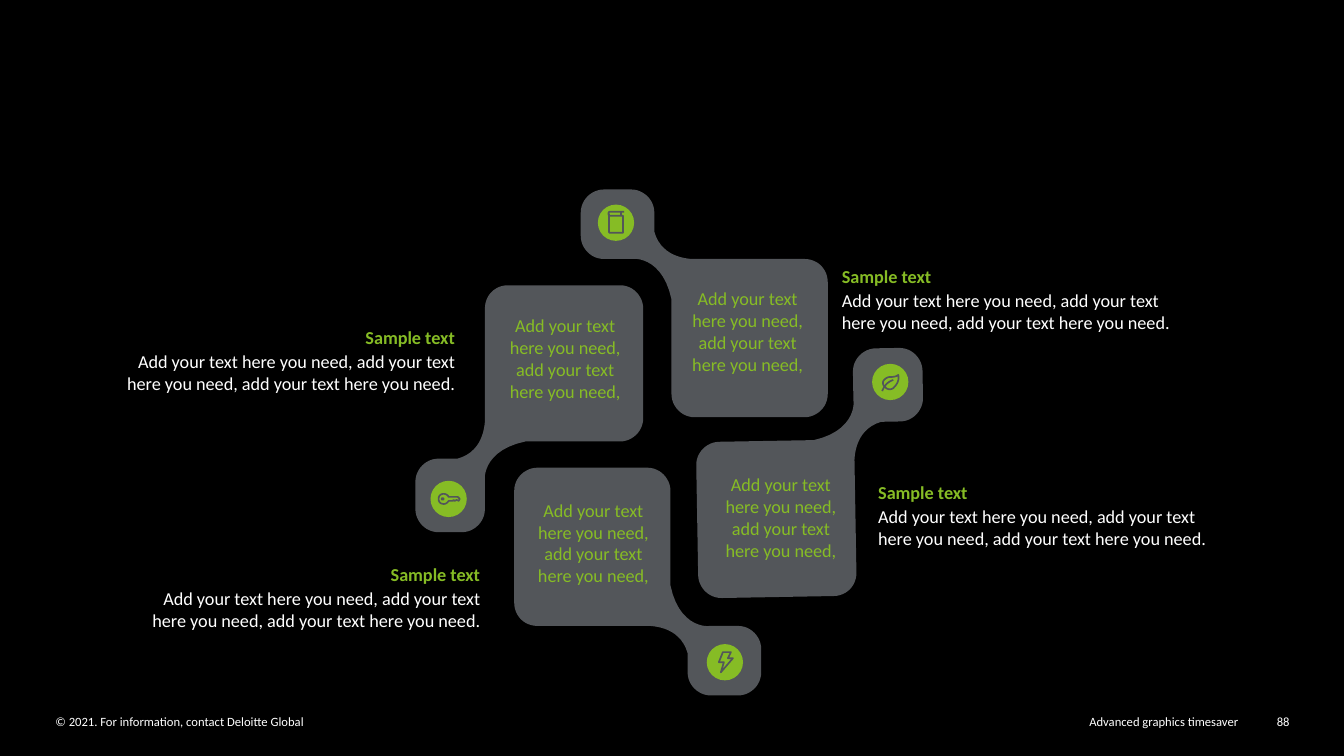
import math
from lxml import etree
from pptx import Presentation
from pptx import util as u
from pptx.dml.color import RGBColor
from pptx.enum import shapes, text

PX = 9144  # EMU in one px, 100 px to the inch
LEFT, CENTER, RIGHT = text.PP_ALIGN.LEFT, text.PP_ALIGN.CENTER, text.PP_ALIGN.RIGHT

THEME = {
    "font": "Calibri",
    "background": RGBColor(0x00, 0x00, 0x00),
    "panel": RGBColor(0x53, 0x56, 0x5A),
    "accent": RGBColor(0x86, 0xBC, 0x25),
    "body": RGBColor(0xFF, 0xFF, 0xFF),
    "text_size": 13,
    "footer_size": 9,
    "icon_line": 1.2,
}

PANEL_TEXT = "Add your text here you need, add your text here you need,"
HEADING = "Sample text"
BODY = "Add your text here you need, add your text here you need, add your text here you need."

# Pairs are straight steps, six numbers are a Bézier step; origin is the joint with the small tab.
PANEL_OUTLINE = [
    (0, 0), (28, 0), (35, -1, 59, 2, 67, 40), (67, 134),
    (67, 146, 77, 157, 90, 157), (199, 157), (211, 157, 222, 147, 222, 134),
    (222, 23), (222, 10, 212, 0, 199, 0), (87, 0), (74, -1, 56, -6, 50, -27),
    (50, -46), (50, -59, 39, -69, 27, -69), (0, -69),
    (-12, -69, -23, -59, -23, -46), (-23, -23), (-23, -11, -13, 0, 0, 0),
]

# Icon strokes are measured from the centre of their disc.
KEY = [
    [(0, -2), (9, -2), (11, 0), (10, 2), (8, 1), (6, 2), (5, 1), (4, 2), (0, 2),
     (-2, 5, -4, 5, -5, 5), (-8, 5, -10, 3, -10, 0), (-10, -3, -8, -5, -5, -5),
     (-3, -5, -1, -4, 0, -2)],
    [(-7, 0), (-7, -1, -5, -1, -5, 0), (-5, 1, -7, 1, -7, 0)],
]
BOLT = [[(-2, -10), (6, -10), (3, -4), (8, -4), (-4, 10), (-1, 0), (-6, 0), (-2, -10)]]
BOOK = [
    [(-7, -9), (-7, 8), (-7, 9, -7, 10, -6, 10), (7, 10), (7, -7), (-6, -7),
     (-8, -7, -8, -11, -6, -11), (8, -11)],
    [(5, -11), (5, -7)],
]
LEAF = [
    [(8, -7), (5, -5, 3, -5, 0, -5), (-2, -5, -4, -4, -5, -3), (-8, -1, -8, 3, -5, 5),
     (-3, 8, 2, 8, 4, 5), (7, 2, 9, -2, 8, -7)],
    [(-8, 9), (-7, 6, -4, 0, 3, -2)],
]

# joint, turn in degrees, top left of text, disc centre, icon
PANELS = [
    ((481, 505), -90, (502, 312), (445, 495), KEY),
    ((732, 621), 180, (530, 495), (719, 657), BOLT),
    ((599, 257), 0, (683, 285), (611, 221), BOOK),
    ((846, 369), 89, (716, 470), (883, 379), LEAF),
]
# edge beside the panel, top, body width, alignment
CALLOUTS = [
    (835, 263, 341, LEFT),
    (871, 477, 335, LEFT),
    (451, 324, 328, RIGHT),
    (476, 559, 329, RIGHT),
]
# words, left, width, alignment
FOOTER = [
    ("© 2021. For information, contact Deloitte Global", 55, 586, LEFT),
    ("Advanced graphics timesaver", 693, 535, RIGHT),
    ("88", 1245, 34, RIGHT),
]
PANEL_TEXT_SIZE = (117, 88)
HEADING_SIZE = (195, 22)
BODY_DROP, BODY_HEIGHT = 24, 44
DISC = 36
FOOTER_TOP, FOOTER_HEIGHT = 708, 15
CURVE_STEPS = 12


def flatten(outline):
    """Turn straight and Bézier steps into a list of points."""
    points = [outline[0]]
    for step in outline[1:]:
        if len(step) == 2:
            points.append(step)
            continue
        start = points[-1]
        for i in range(1, CURVE_STEPS + 1):
            t = i / CURVE_STEPS
            weights = ((1 - t) ** 3, 3 * t * (1 - t) ** 2, 3 * t * t * (1 - t), t ** 3)
            points.append(tuple(
                sum(w * v for w, v in zip(weights, (start[axis], *step[axis::2])))
                for axis in (0, 1)))
    return points


def add_outline(slide, outline, origin, turn=0, close=False):
    cos, sin = math.cos(math.radians(turn)), math.sin(math.radians(turn))
    points = [((origin[0] + x * cos - y * sin) * PX, (origin[1] + x * sin + y * cos) * PX)
              for x, y in flatten(outline)]
    builder = slide.shapes.build_freeform(*points[0], scale=1.0)
    builder.add_line_segments(points[1:], close=close)
    shape = builder.convert_to_shape()
    shape.shadow.inherit = False
    return shape


def fill_plain(shape, color):
    shape.fill.solid()
    shape.fill.fore_color.rgb = color
    shape.line.fill.background()


def add_text(slide, words, box, align, color, size=THEME["text_size"], bold=False):
    frame = slide.shapes.add_textbox(*(v * PX for v in box)).text_frame
    layout = {"word_wrap": True, "margin_left": 0, "margin_top": 0,
              "margin_right": 0, "margin_bottom": 0}
    for name, value in layout.items():
        setattr(frame, name, value)
    paragraph = frame.paragraphs[0]
    paragraph.alignment = align
    run = paragraph.add_run()
    run.text = words
    for name, value in {"name": THEME["font"], "size": u.Pt(size), "bold": bold}.items():
        setattr(run.font, name, value)
    run.font.color.rgb = color


def add_panel(slide, joint, turn, text_at, centre, icon):
    fill_plain(add_outline(slide, PANEL_OUTLINE, joint, turn, close=True), THEME["panel"])
    add_text(slide, PANEL_TEXT, (*text_at, *PANEL_TEXT_SIZE), CENTER, THEME["accent"])
    disc = slide.shapes.add_shape(
        shapes.MSO_SHAPE.OVAL, *((v - DISC // 2) * PX for v in centre), DISC * PX, DISC * PX)
    disc.shadow.inherit = False
    fill_plain(disc, THEME["accent"])
    for stroke in icon:
        shape = add_outline(slide, stroke, centre, close=stroke[0] == stroke[-1][-2:])
        shape.fill.background()
        shape.line.color.rgb = THEME["panel"]
        shape.line.width = u.Pt(THEME["icon_line"])


def add_callout(slide, edge, top, body_width, align):
    rows = [
        (HEADING, top, *HEADING_SIZE, THEME["accent"], True),
        (BODY, top + BODY_DROP, body_width, BODY_HEIGHT, THEME["body"], False),
    ]
    for words, y, width, height, color, bold in rows:
        left = edge - width if align == RIGHT else edge
        add_text(slide, words, (left, y, width, height), align, color, bold=bold)


def main():
    presentation = Presentation()
    presentation.slide_width, presentation.slide_height = 1333 * PX, 750 * PX
    slide = presentation.slides.add_slide(presentation.slide_layouts[6])
    slide.background.fill.solid()
    slide.background.fill.fore_color.rgb = THEME["background"]
    for panel in PANELS:
        add_panel(slide, *panel)
    for callout in CALLOUTS:
        add_callout(slide, *callout)
    for words, left, width, align in FOOTER:
        add_text(slide, words, (left, FOOTER_TOP, width, FOOTER_HEIGHT), align,
                 THEME["body"], THEME["footer_size"])
    presentation.save("out.pptx")


if __name__ == "__main__":
    main()
